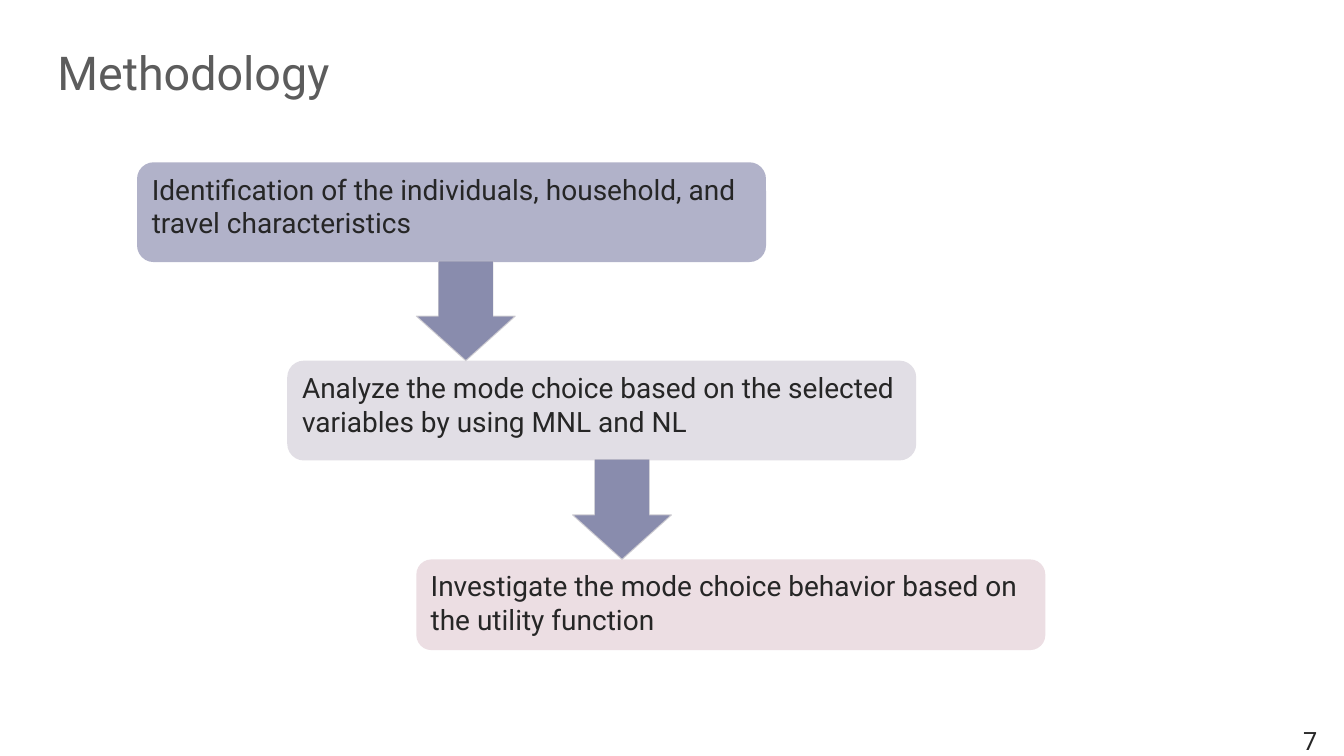
import pptx
import pptx.dml.color
import pptx.enum.shapes
import pptx.enum.text
import pptx.oxml
import pptx.oxml.ns
import pptx.util

Pt = pptx.util.Pt
SHAPES = pptx.enum.shapes.MSO_SHAPE
ANCHORS = pptx.enum.text.MSO_ANCHOR
COLORS = {
    "title": "5C5C5C",
    "text": "262626",
    "identify": "B1B2C9",
    "analyze": "E1DEE5",
    "investigate": "ECDEE3",
    "arrow": "898CAD",
    "arrow_line": "CFCDD2",
}
TITLE_FRAME = {"margin_left": 0, "margin_top": 0, "margin_right": 0,
               "margin_bottom": 0, "vertical_anchor": ANCHORS.MIDDLE}
TOP_FRAME = {"vertical_anchor": ANCHORS.TOP}
STEP_WIDTH = 449.3
STEPS = [
    ("Identification of the individuals, household, and travel characteristics",
     "identify", (97.9, 115.9, STEP_WIDTH, 71.3)),
    ("Analyze the mode choice based on the selected variables by using MNL and NL",
     "analyze", (205.2, 257.6, STEP_WIDTH, 71.3)),
    ("Investigate the mode choice behavior based on the utility function",
     "investigate", (297.4, 399.6, STEP_WIDTH, 64.8)),
]
ARROW_LEFTS = (297.4, 409)
ARROW_WIDTH = 70.6
SHAFT_SHARE, HEAD_SHARE = 0.55, 0.45


def color(name):
    """Return the named colour."""
    return pptx.dml.color.RGBColor.from_string(COLORS[name])


def write(shape, text, size, tone, frame_format):
    """Put one left-aligned paragraph into a shape."""
    frame = shape.text_frame
    for name, value in {"word_wrap": True, **frame_format}.items():
        setattr(frame, name, value)
    para = frame.paragraphs[0]
    para.alignment = pptx.enum.text.PP_ALIGN.LEFT
    span = para.add_run()
    span.text = text
    for name, value in {"name": "Roboto", "size": Pt(size)}.items():
        setattr(span.font, name, value)
    span.font.color.rgb = color(tone)


def add_label(page, box, text, size, tone, frame_format):
    """Add a text box."""
    label = page.shapes.add_textbox(*map(Pt, box))
    write(label, text, size, tone, frame_format)


def add_block(shapes, kind, box, tone):
    """Add a plain filled shape without outline or shadow."""
    block = shapes.add_shape(kind, *map(Pt, box))
    block.shadow.inherit = False
    block.fill.solid()
    block.fill.fore_color.rgb = color(tone)
    block.line.fill.background()
    return block


def add_step(page, box, text, tone):
    """Add one rounded step of the method."""
    step = add_block(page.shapes, SHAPES.ROUNDED_RECTANGLE, box, tone)
    write(step, text, 20, "text", TOP_FRAME)


def add_arrow(page, box):
    """Add a grouped down arrow whose shaft covers its own outline."""
    left, top, width, height = box
    group = page.shapes.add_group_shape()
    arrow = add_block(group.shapes, SHAPES.DOWN_ARROW, box, "arrow")
    arrow.adjustments[0] = SHAFT_SHARE
    arrow.adjustments[1] = HEAD_SHARE
    arrow.line.color.rgb = color("arrow_line")
    arrow.line.width = Pt(0.75)
    tint = arrow.line.fill._xPr.find(".//" + pptx.oxml.ns.qn("a:srgbClr"))
    tint.append(pptx.oxml.parse_xml(
        f'<a:alpha {pptx.oxml.ns.nsdecls("a")} val="90000"/>'))
    shaft = (left + width * (1 - SHAFT_SHARE) / 2, top,
             width * SHAFT_SHARE, height * 0.75)
    add_block(group.shapes, SHAPES.RECTANGLE, shaft, "arrow")


def add_flow(page):
    """Add the steps and the arrows that bridge the gaps between them."""
    for text, tone, box in STEPS:
        add_step(page, box, text, tone)
    for left, (_, _, upper), (_, _, lower) in zip(ARROW_LEFTS, STEPS, STEPS[1:]):
        top = upper[1] + upper[3] - 0.5
        add_arrow(page, (left, top, ARROW_WIDTH, lower[1] - top))


def main():
    """Build the methodology slide and save it."""
    deck = pptx.Presentation()
    deck.slide_width, deck.slide_height = Pt(960), Pt(540)
    page = deck.slides.add_slide(deck.slide_layouts[6])
    add_label(page, (41, 29.5, 878.4, 43.2), "Methodology", 33.3, "title", TITLE_FRAME)
    add_flow(page)
    add_label(page, (923.8, 514.8, 36, 28.8), "7", 18, "text", TOP_FRAME)
    deck.save("out.pptx")


if __name__ == "__main__":
    main()
